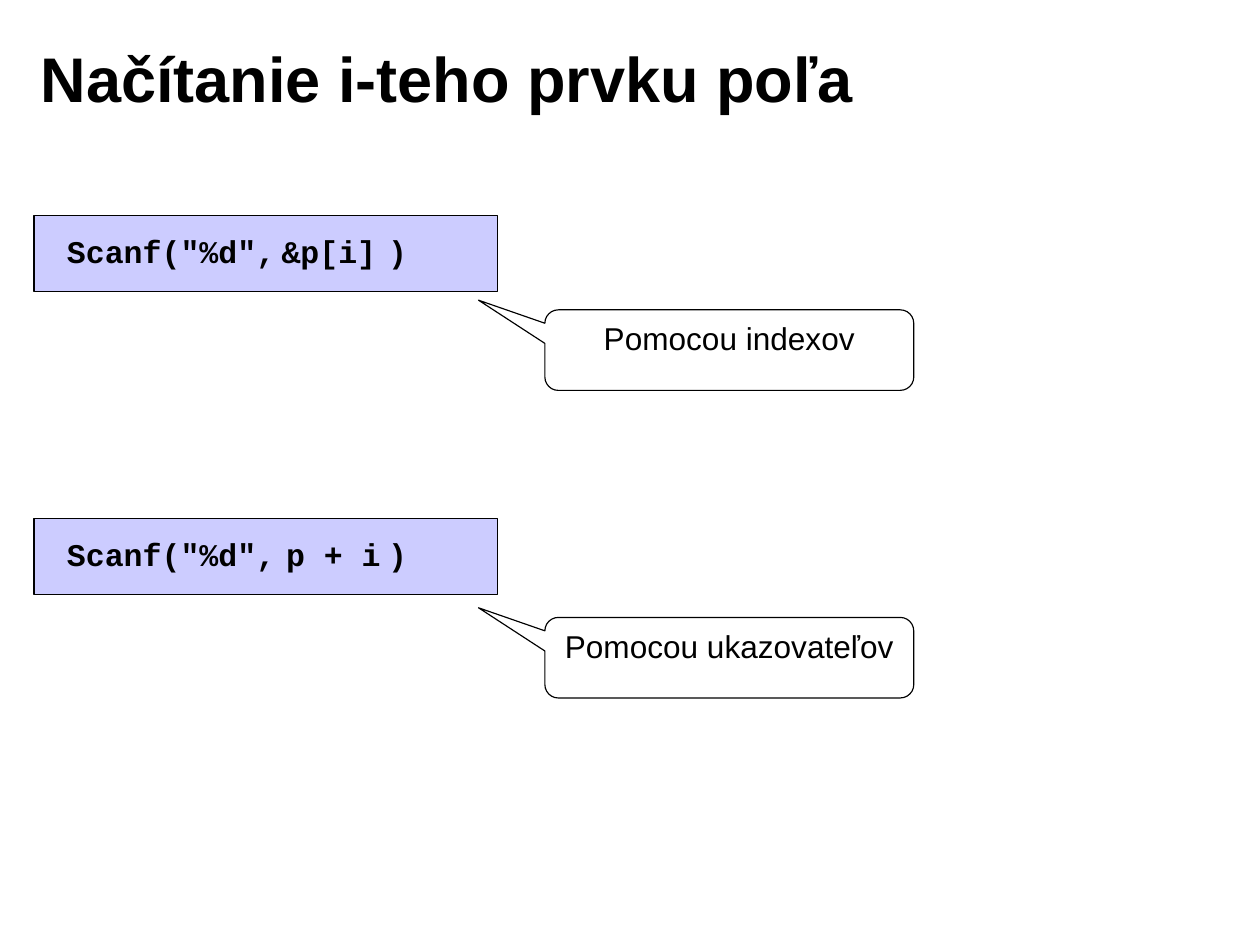
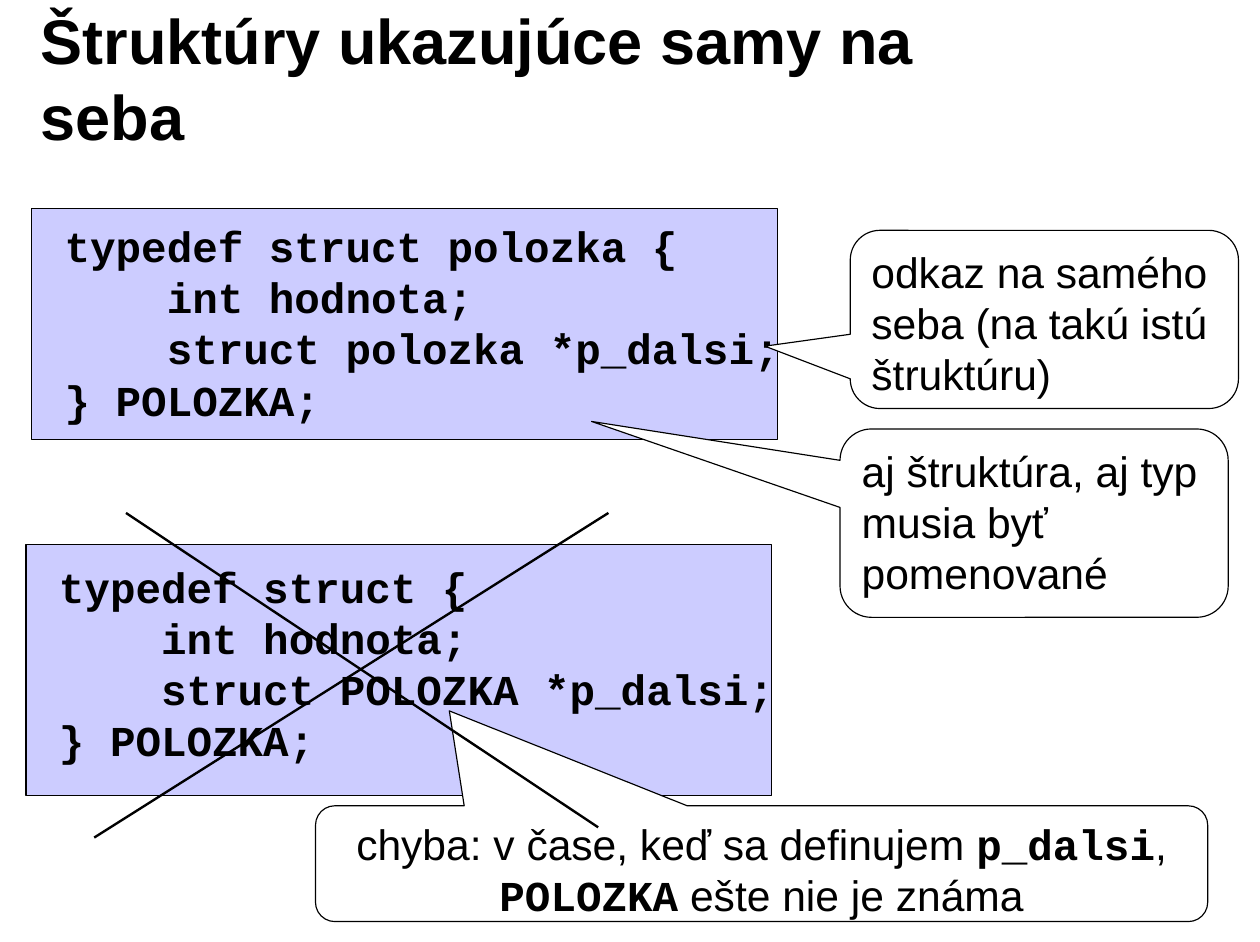
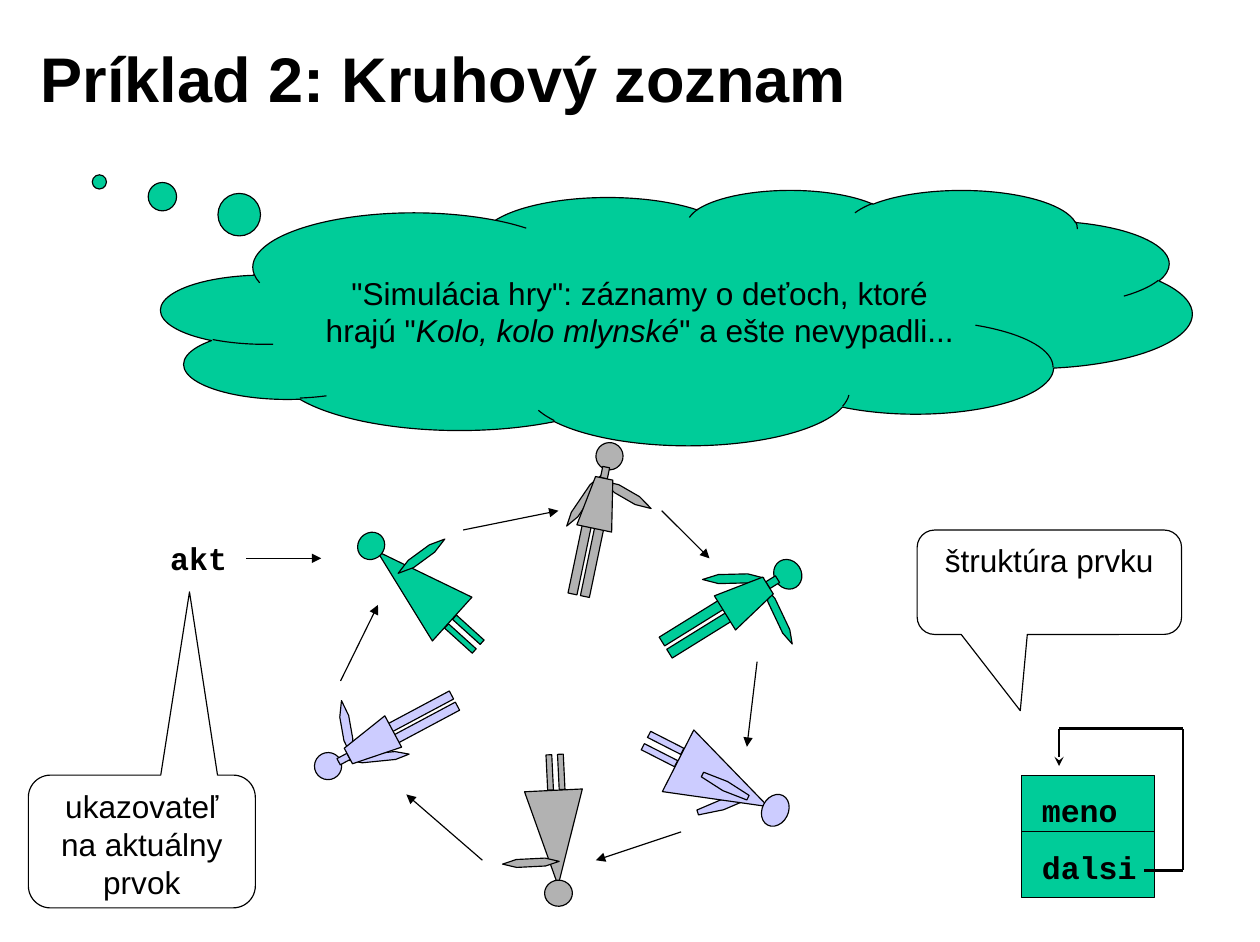
from math import cos, radians, sin

from pptx import Presentation
from pptx.dml.color import RGBColor
from pptx.enum.shapes import MSO_CONNECTOR as Link, MSO_SHAPE as Form
from pptx.enum.text import MSO_ANCHOR as Anchor, MSO_AUTO_SIZE as Fit, PP_ALIGN as Align
from pptx.oxml.ns import qn
from pptx.oxml.xmlchemy import OxmlElement as Tag
from pptx.util import Inches, Pt

HUES = {"black": "000000", "white": "FFFFFF", "lilac": "CCCCFF", "green": "00CC99", "gray": "B2B2B2"}
SANS = "Arial"
MONO = "Courier New"
CODE = {"face": MONO, "bold": True}


def hue(name):
    return RGBColor.from_string(HUES[name])


def inch(*sizes):
    return [Inches(size) for size in sizes]


def add_tabs(para, stops):
    tabs = Tag("a:tabLst")
    for stop in stops:
        tab = Tag("a:tab")
        tab.set("pos", str(Inches(stop)))
        tab.set("algn", "l")
        tabs.append(tab)
    para._p.get_or_add_pPr().append(tabs)


def write(shape, lines, size=20, face=SANS, bold=False, align=Align.LEFT,
          anchor=Anchor.TOP, pad=(0.1, 0.05), stops=()):
    frame = shape.text_frame
    frame.word_wrap = True
    frame.auto_size = Fit.NONE
    frame.vertical_anchor = anchor
    frame.margin_left = frame.margin_right = Inches(pad[0])
    frame.margin_top = frame.margin_bottom = Inches(pad[1])
    for index, line in enumerate(lines):
        para = frame.add_paragraph() if index else frame.paragraphs[0]
        para.alignment = align
        if stops:
            add_tabs(para, stops)
        for piece in [line] if isinstance(line, str) else line:
            words, style = (piece, {}) if isinstance(piece, str) else piece
            run = para.add_run()
            run.text = words
            font = run.font
            font.size = Pt(size)
            font.name = style.get("face", face)
            font.bold = style.get("bold", bold)
            font.italic = style.get("slant", False)
            font.color.rgb = hue("black")


def paint(shape, fill):
    shape.shadow.inherit = False
    shape.fill.solid()
    shape.fill.fore_color.rgb = hue(fill)
    shape.line.color.rgb = hue("black")
    shape.line.width = Pt(0.75)
    return shape


def draw(shapes, form, box, fill, turn=0, knobs=()):
    shape = paint(shapes.add_shape(form, *inch(*box)), fill)
    shape.rotation = turn % 360
    for index, knob in enumerate(knobs):
        shape.adjustments[index] = knob
    return shape


def line(shapes, start, end, width=0.75, head=None):
    link = shapes.add_connector(Link.STRAIGHT, *inch(*start, *end))
    link.line.color.rgb = hue("black")
    link.line.width = Pt(width)
    props = link._element.spPr
    if head:
        tip = Tag("a:tailEnd")
        tip.set("type", head)
        props.find(qn("a:ln")).append(tip)
    props.append(Tag("a:effectLst"))


def label(shapes, box, lines, **style):
    write(shapes.add_textbox(*inch(*box)), lines, **style)


def callout(shapes, box, knobs, lines, align=Align.CENTER, **style):
    bubble = draw(shapes, Form.ROUNDED_RECTANGULAR_CALLOUT, box, "white", knobs=(*knobs, 0.167))
    write(bubble, lines, align=align, **style)


def code(shapes, box, lines, drop, **style):
    draw(shapes, Form.RECTANGLE, box, "lilac")
    left, top, width, height = box
    label(shapes, (left + 0.18, top, width, height), lines, pad=(0.11, drop), **CODE, **style)


class Figure:
    def __init__(self, shapes, head, turn, fill):
        self.shapes = shapes.add_group_shape().shapes
        self.head, self.turn, self.fill = head, turn, fill

    def spot(self, x, y):
        angle = radians(self.turn)
        return (self.head[0] + x * cos(angle) - y * sin(angle),
                self.head[1] + x * sin(angle) + y * cos(angle))

    def limb(self, form, x, y, width, height, turn=0, knobs=()):
        mid, row = self.spot(x, y)
        box = (mid - width / 2, row - height / 2, width, height)
        draw(self.shapes, form, box, self.fill, self.turn + turn, knobs)

    def arm(self, x, y, width, height, turn):
        self.limb(Form.HEXAGON, x, y, width, height, turn, [1.75 if width > height else 0.25])

    def legs(self, spots, y, width, height):
        for x in spots:
            self.limb(Form.RECTANGLE, x, y, width, height)

    def girl(self, wide, tall, back, front):
        for arm in back:
            self.arm(*arm)
        self.limb(Form.ISOSCELES_TRIANGLE, 0, 0.58 * tall, wide, tall)
        for arm in front:
            self.arm(*arm)
        self.limb(Form.OVAL, 0, 0, 0.48 * wide, 0.23)
        self.legs((-0.15 * wide, 0.05 * wide), 1.27 * tall, 0.1 * wide, 0.37 * tall)

    def boy(self, wide, arms):
        for arm in arms:
            self.arm(*arm)
        self.limb(Form.OVAL, 0, 0, 0.77 * wide, 0.24)
        self.legs((-0.23 * wide, 0.13 * wide), 0.92, 0.26 * wide, 0.67)
        self.limb(Form.RECTANGLE, -0.03 * wide, 0.15, 0.2 * wide, 0.1)
        edge = [(-0.51, 0.65), (-0.27, 0.2), (0.23, 0.2), (0.5, 0.65)]
        dots = [inch(*self.spot(x * wide, y)) for x, y in edge]
        torso = self.shapes.build_freeform(*dots[0])
        torso.add_line_segments(dots[1:], close=True)
        paint(torso.convert_to_shape(), self.fill)


def start(deck, title):
    slide = deck.slides.add_slide(deck.slide_layouts[5])
    head = slide.shapes.title
    head.left, head.top, head.width, head.height = inch(0.25, 0.17, 8.92, 1.02)
    write(head, [title], size=40, bold=True, anchor=Anchor.MIDDLE, pad=(0.11, 0.06))
    return slide.shapes


def item(deck):
    shapes = start(deck, "Načítanie i-teho prvku poľa")
    rows = [(1.9, 2.73, "&p[i]", 1.89, "Pomocou indexov"),
            (4.57, 5.44, "p + i", 1.93, "Pomocou ukazovateľov")]
    for top, low, term, stop, note in rows:
        code(shapes, (0.3, top, 4.08, 0.67), [f'Scanf("%d",\t{term}\t)'], 0.14, stops=(stop, 2.83))
        callout(shapes, (4.8, low, 3.25, 0.71), (-0.68, -0.62), [note])


def struct(deck):
    shapes = start(deck, "Štruktúry ukazujúce samy na seba")
    blocks = [((0.28, 1.84, 6.57, 2.03), "struct polozka", "polozka", 0.1),
              ((0.23, 4.8, 6.57, 2.21), "struct", "POLOZKA", 0.14)]
    for box, name, kind, drop in blocks:
        lines = [f"typedef {name} {{", "    int hodnota;", f"    struct {kind} *p_dalsi;", "} POLOZKA;"]
        code(shapes, box, lines, drop, size=27)
    style = {"size": 27, "pad": (0.11, 0.06)}
    notes = [((7.49, 2.03, 3.42, 1.57), (-0.72, 0.15), "odkaz na samého seba (na takú istú štruktúru)"),
             ((7.4, 3.78, 3.42, 1.66), (-1.14, -0.54), "aj štruktúra, aj typ musia byť pomenované")]
    for box, knobs, note in notes:
        callout(shapes, box, knobs, [note], align=Align.LEFT, **style)
    error = ["chyba: v čase, keď sa definujem ", ("p_dalsi", CODE), ", ", ("POLOZKA", CODE),
             " ešte nie je známa"]
    callout(shapes, (2.78, 7.1, 7.86, 1.02), (-0.35, -1.32), [error], **style)
    line(shapes, (1.11, 4.52), (5.27, 7.29), width=1.5)
    line(shapes, (5.36, 4.52), (0.83, 7.38), width=1.5)


def kids(shapes):
    Figure(shapes, (4.92, 7.87), 177.2, "gray").girl(0.51, 0.84, [], [(0.23, 0.28, 0.5, 0.07, 0)])
    Figure(shapes, (3.27, 4.81), 312.1, "green").girl(0.52, 0.89, [], [(0.23, 0.39, 0.51, 0.08, 11.6)])
    Figure(shapes, (6.83, 7.14), 117, "lilac").girl(
        0.61, 0.89, [(0.17, 0.44, 0.09, 0.45, -44.4)], [(0.01, 0.49, 0.09, 0.45, 0)])
    arms = [(-0.14, 0.43, 0.54, 0.07, -67.6), (0.22, 0.3, 0.49, 0.08, 18.1)]
    Figure(shapes, (2.89, 6.75), 241.9, "lilac").boy(0.31, arms)
    Figure(shapes, (6.94, 5.06), 58.2, "green").boy(
        0.35, [(-0.22, 0.43, 0.54, 0.08, -59.6), (0.27, 0.26, 0.55, 0.07, 6.4)])
    Figure(shapes, (5.37, 4.02), 11.8, "gray").boy(0.31, arms)


def node(shapes):
    callout(shapes, (8.08, 4.67, 2.33, 0.92), (-0.11, 1.23), ["štruktúra prvku"])
    draw(shapes, Form.RECTANGLE, (9, 6.83, 1.17, 1.08), "green")
    line(shapes, (9, 7.33), (10.17, 7.33))
    for top, name in [(6.92, "meno"), (7.42, "dalsi")]:
        label(shapes, (9.08, top, 1.08, 0.44), [name], **CODE)
    bends = [(10.08, 7.67), (10.42, 7.67), (10.42, 6.42), (9.33, 6.42), (9.33, 6.75)]
    for here, there in zip(bends, bends[1:]):
        line(shapes, here, there, width=1.5, head="stealth" if there == bends[-1] else None)


def ring(deck):
    shapes = start(deck, "Príklad 2: Kruhový zoznam")
    cloud = draw(shapes, Form.CLOUD_CALLOUT, (1.42, 1.67, 9.08, 2.25), "green", knobs=(-0.56, -0.53))
    game = ['"Simulácia hry": záznamy o deťoch, ktoré hrajú "',
            ("Kolo, kolo mlynské", {"slant": True}), '" a ešte nevypadli...']
    write(cloud, [game], align=Align.CENTER, anchor=Anchor.MIDDLE)
    kids(shapes)
    arrows = [((3, 6), (3.33, 5.33)), ((4.08, 4.67), (4.92, 4.5)), ((5.83, 4.5), (6.25, 4.92)),
              ((6.67, 5.83), (6.58, 6.58)), ((6, 7.33), (5.25, 7.58)), ((4.25, 7.58), (3.58, 7)),
              ((2.17, 4.92), (2.83, 4.92))]
    for here, there in arrows:
        line(shapes, here, there, head="triangle")
    label(shapes, (1.39, 4.7, 0.72, 0.44), ["akt"], align=Align.CENTER, **CODE)
    callout(shapes, (0.25, 6.83, 2, 1.17), (0.21, -1.88), ["ukazovateľ na aktuálny prvok"])
    node(shapes)


def main():
    deck = Presentation()
    deck.slide_width, deck.slide_height = inch(11.1, 8.3)
    for build in (item, struct, ring):
        build(deck)
    deck.save("out.pptx")


if __name__ == "__main__":
    main()
